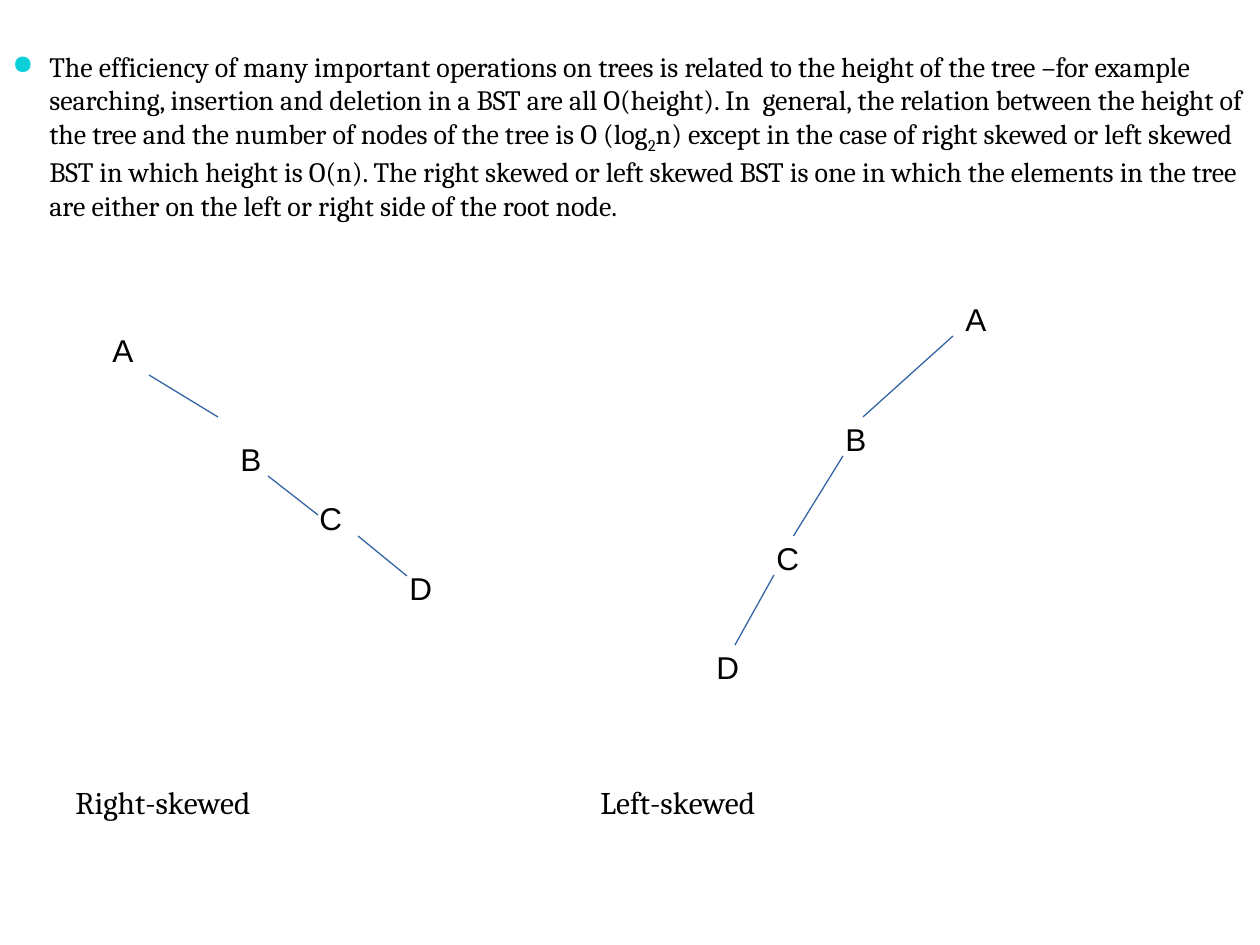
from dataclasses import dataclass
from typing import Optional

from lxml import etree
from pptx import Presentation
from pptx.dml.color import RGBColor
from pptx.enum.shapes import MSO_CONNECTOR
from pptx.oxml.ns import qn
from pptx.util import Pt

STRAIGHT = MSO_CONNECTOR.STRAIGHT
TOP_SITE = 0
EMU_PER_PX = 914400 / 126


@dataclass(frozen=True)
class Theme:
    text: RGBColor = RGBColor(0x00, 0x00, 0x00)
    edge: RGBColor = RGBColor(0x34, 0x65, 0xA4)
    bullet: str = "0BD0D9"
    serif: str = "Cambria"
    sans: str = "Arial"
    body_size: int = 16
    label_size: int = 18
    edge_width: float = 0.75


@dataclass(frozen=True)
class Label:
    text: str
    x: int
    y: int
    w: int


@dataclass(frozen=True)
class Edge:
    x1: int
    y1: int
    x2: int
    y2: int
    from_top_of: Optional[str] = None


@dataclass(frozen=True)
class Tree:
    nodes: tuple[Label, ...]
    edges: tuple[Edge, ...]
    caption: Label


THEME = Theme()
NODE_H = 48
CAPTION_H = 50
CAPTION_Y = 777
NODE_SPACING = 0.93
INDENT = 37

BODY = (
    "The efficiency of many important operations on trees is related to the height "
    "of the tree –for example searching, insertion and deletion in a BST are all "
    "O(height). In  general, the relation between the height of the tree and the "
    "number of nodes of the tree is O (log",
    "2",
    "n) except in the case of right skewed or left skewed BST in which height is "
    "O(n). The right skewed or left skewed BST is one in which the elements in the "
    "tree are either on the left or right side of the root node.",
)

TREES = (
    Tree(
        nodes=(
            Label("A", 100, 328, 69),
            Label("B", 228, 437, 59),
            Label("C", 307, 496, 49),
            Label("D", 397, 566, 69),
        ),
        edges=(
            Edge(149, 375, 218, 417),
            Edge(268, 476, 318, 515),
            Edge(358, 536, 407, 576),
        ),
        caption=Label("Right-skewed", 63, CAPTION_Y, 262),
    ),
    Tree(
        nodes=(
            Label("A", 953, 297, 59),
            Label("B", 833, 417, 89),
            Label("C", 764, 536, 59),
            Label("D", 704, 645, 69),
        ),
        edges=(
            Edge(863, 417, 953, 336),
            Edge(794, 536, 843, 456, from_top_of="C"),
            Edge(735, 645, 774, 575),
        ),
        caption=Label("Left-skewed", 588, CAPTION_Y, 347),
    ),
)


def px(n: int) -> int:
    return round(n * EMU_PER_PX)


def add_box(s, x: int, y: int, w: int, h: int):
    sp = s.shapes.add_textbox(px(x), px(y), px(w), px(h))
    sp.text_frame.word_wrap = True
    return sp


def style_run(r, font: str, size: int) -> None:
    r.font.name = font
    r.font.size = Pt(size)
    r.font.color.rgb = THEME.text


def add_label(s, label: Label, h: int, font: str, spacing: float = 1.0):
    sp = add_box(s, label.x, label.y, label.w, h)
    p = sp.text_frame.paragraphs[0]
    p.text = label.text
    p.line_spacing = spacing
    style_run(p.runs[0], font, THEME.label_size)
    return sp


def add_edge(s, edge: Edge, nodes: dict) -> None:
    cx = s.shapes.add_connector(
        STRAIGHT, px(edge.x1), px(edge.y1), px(edge.x2), px(edge.y2)
    )
    if edge.from_top_of:
        cx.begin_connect(nodes[edge.from_top_of], TOP_SITE)
    cx.line.color.rgb = THEME.edge
    cx.line.width = Pt(THEME.edge_width)
    etree.SubElement(cx._element.spPr, qn("a:effectLst"))


def add_bullet(p) -> None:
    pPr = p._p.get_or_add_pPr()
    pPr.set("marL", str(px(INDENT)))
    pPr.set("indent", str(-px(INDENT)))
    color = etree.SubElement(pPr, qn("a:buClr"))
    etree.SubElement(color, qn("a:srgbClr"), val=THEME.bullet)
    etree.SubElement(pPr, qn("a:buSzPct"), val="95000")
    etree.SubElement(pPr, qn("a:buChar"), char="●")


def add_body(s) -> None:
    sp = add_box(s, 0, 43, 1260, 185)
    p = sp.text_frame.paragraphs[0]
    add_bullet(p)
    for text in BODY:
        r = p.add_run()
        r.text = text
        style_run(r, THEME.serif, THEME.body_size)
    p.runs[1].font._element.set("baseline", "-25000")


def add_tree(s, tree: Tree) -> None:
    nodes = {
        n.text: add_label(s, n, NODE_H, THEME.sans, NODE_SPACING) for n in tree.nodes
    }
    for edge in tree.edges:
        add_edge(s, edge, nodes)
    add_label(s, tree.caption, CAPTION_H, THEME.serif)


def main() -> None:
    prs = Presentation()
    prs.slide_width = px(1260)
    prs.slide_height = px(945)
    s = prs.slides.add_slide(prs.slide_layouts[6])
    add_body(s)
    for tree in TREES:
        add_tree(s, tree)
    prs.save("out.pptx")


if __name__ == "__main__":
    main()
